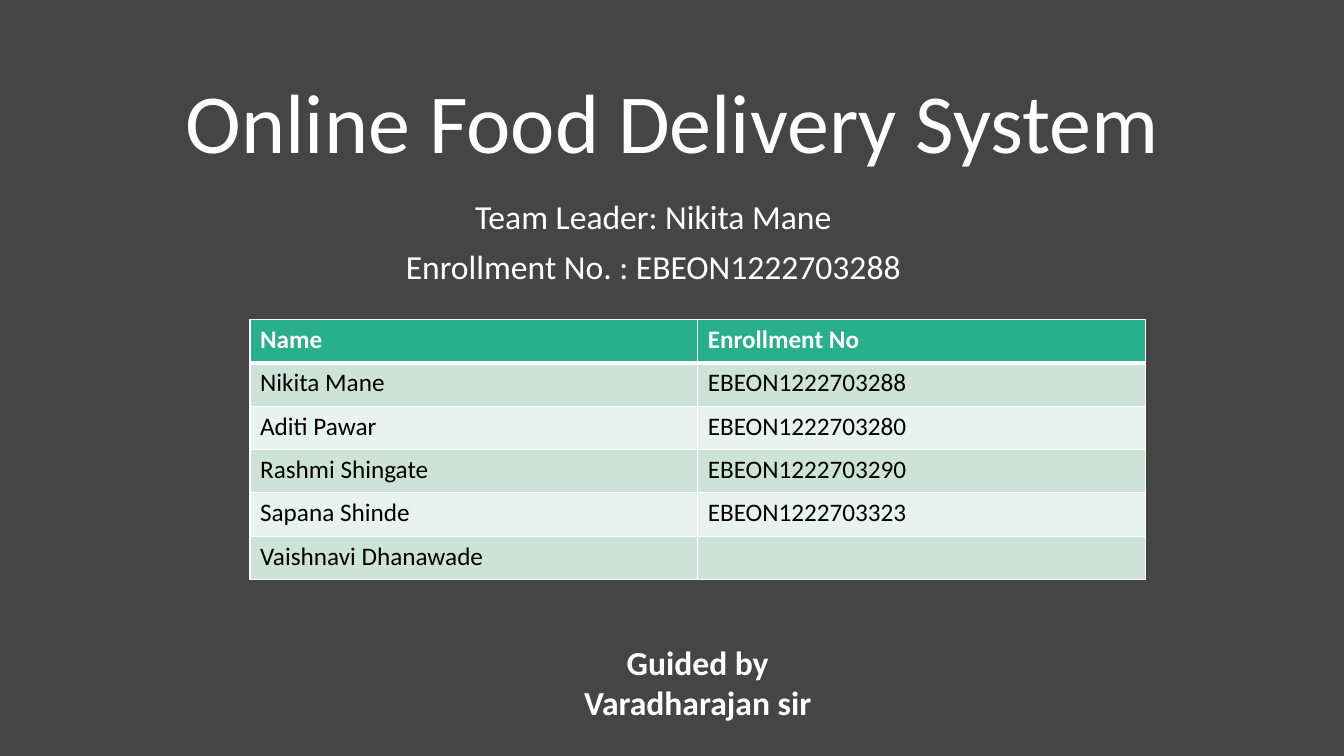
from lxml.etree import SubElement
from pptx import Presentation
from pptx.dml.color import RGBColor
from pptx.enum.text import MSO_ANCHOR, PP_ALIGN
from pptx.oxml.ns import qn
from pptx.util import Inches, Pt

COLORS = {
    "background": "454545",
    "light": "FFFFFF",
    "dark": "000000",
    "header": "29AF8C",
    "odd_row": "CDE3DA",
    "even_row": "E8F2EE",
}


class SlideBuilder:
    """Holds the style and the current slide."""

    font_name = "Calibri"

    def __init__(self, slide):
        self.slide = slide

    def color(self, name):
        return RGBColor.from_string(COLORS[name])

    def background(self, name):
        fill = self.slide.background.fill
        fill.solid()
        fill.fore_color.rgb = self.color(name)

    def run(self, paragraph, text, size, color="light", bold=False):
        run = paragraph.add_run()
        run.text = text
        run.font.name = self.font_name
        run.font.size = Pt(size)
        run.font.bold = bold
        run.font.color.rgb = self.color(color)

    def text(self, box, lines, size, bold=False, anchor=MSO_ANCHOR.TOP,
             line_spacing=1.0, space_before=0):
        shape = self.slide.shapes.add_textbox(*map(Inches, box))
        frame = shape.text_frame
        frame.word_wrap = True
        frame.vertical_anchor = anchor
        for index, line in enumerate(lines):
            paragraph = frame.add_paragraph() if index else frame.paragraphs[0]
            paragraph.alignment = PP_ALIGN.CENTER
            paragraph.line_spacing = line_spacing
            paragraph.space_before = Pt(space_before)
            self.run(paragraph, line, size, bold=bold)

    def borders(self, cell, widths):
        properties = cell._tc.get_or_add_tcPr()
        for side, width in widths.items():
            line = SubElement(properties, qn(f"a:ln{side}"), w=str(Pt(width)))
            fill = SubElement(line, qn("a:solidFill"))
            SubElement(fill, qn("a:srgbClr"), val=COLORS["light"])

    def table(self, left, top, column_width, row_height, rows, size):
        column_count = len(rows[0])
        table = self.slide.shapes.add_table(
            len(rows), column_count, Inches(left), Inches(top),
            Inches(column_width * column_count),
            Inches(row_height * len(rows))).table
        for row_index, values in enumerate(rows):
            is_header = row_index == 0
            band = "odd_row" if row_index % 2 else "even_row"
            for column_index, value in enumerate(values):
                cell = table.cell(row_index, column_index)
                self.borders(cell, {"L": 1, "R": 1,
                                    "T": 3 if row_index == 1 else 1,
                                    "B": 3 if is_header else 1})
                cell.fill.solid()
                cell.fill.fore_color.rgb = self.color("header" if is_header else band)
                paragraph = cell.text_frame.paragraphs[0]
                if value:
                    self.run(paragraph, value, size,
                             "light" if is_header else "dark", is_header)
                else:
                    paragraph.font.size = Pt(size)


presentation = Presentation()
presentation.slide_width = Inches(13.33)
presentation.slide_height = Inches(7.5)
builder = SlideBuilder(presentation.slides.add_slide(presentation.slide_layouts[6]))
builder.background("background")

# Title and team leader
builder.text((1.67, 0.44, 10, 1.31), ["Online Food Delivery System"], 60,
             anchor=MSO_ANCHOR.BOTTOM, line_spacing=0.9)
builder.text((1.48, 1.94, 10, 3.73),
             ["Team Leader: Nikita Mane", "Enrollment No. : EBEON1222703288"], 24,
             line_spacing=0.9, space_before=10)

# Guide
builder.text((4.68, 6.32, 4.48, 1.31), ["Guided by", "Varadharajan sir"], 24, bold=True)

# Team members
builder.table(2.48, 3.17, 4.44, 0.43, [
    ("Name", "Enrollment No"),
    ("Nikita Mane", "EBEON1222703288"),
    ("Aditi Pawar", "EBEON1222703280"),
    ("Rashmi Shingate", "EBEON1222703290"),
    ("Sapana Shinde", "EBEON1222703323"),
    ("Vaishnavi Dhanawade", ""),
], 18)

presentation.save("out.pptx")
